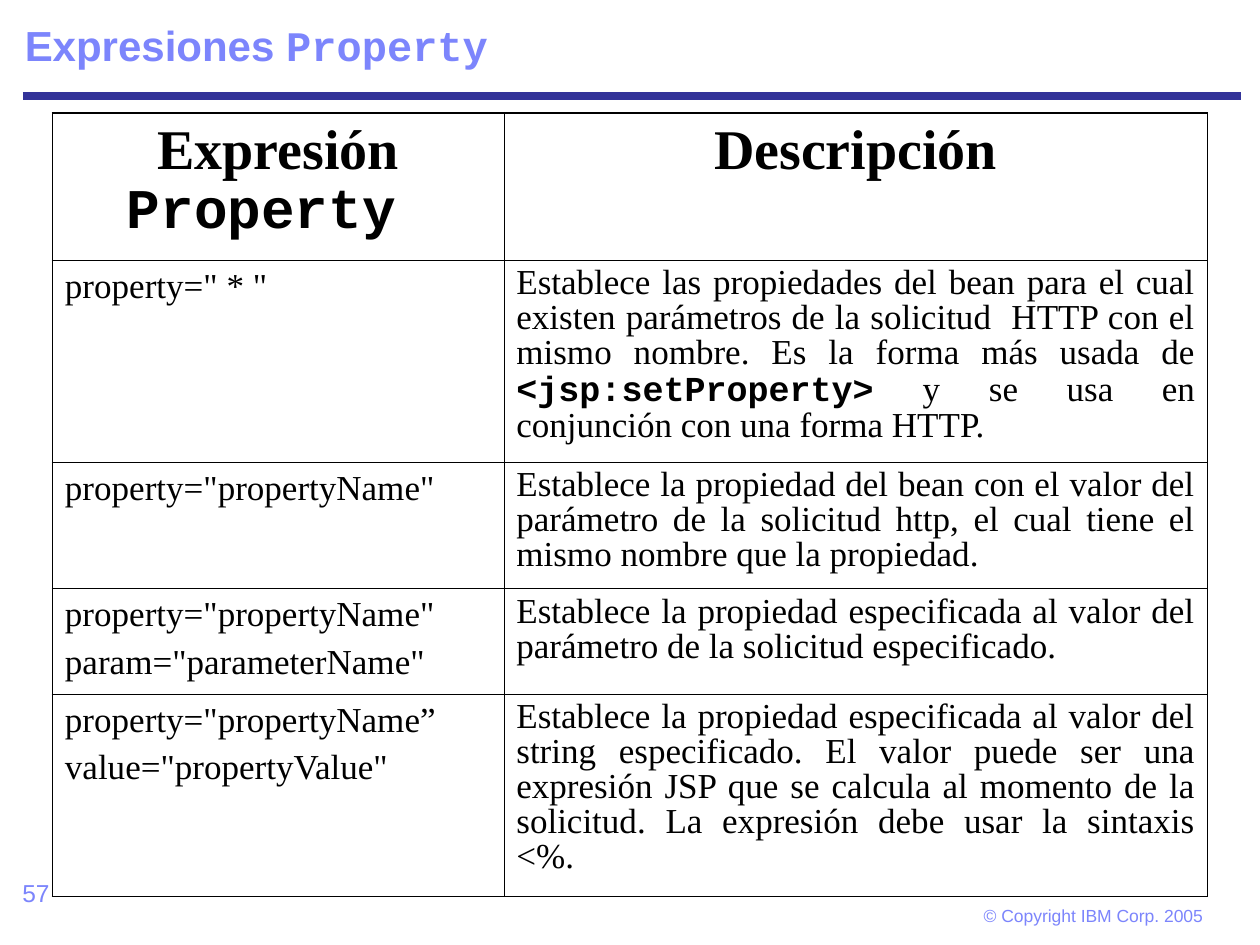
from lxml.etree import SubElement
from pptx import Presentation
from pptx.dml.color import RGBColor
from pptx.enum.shapes import MSO_CONNECTOR
from pptx.enum.text import PP_ALIGN
from pptx.oxml.ns import qn
from pptx.util import Cm, Pt

LILAC = RGBColor(0x7C, 0x85, 0xFC)
NAVY = RGBColor(0x33, 0x33, 0x99)
BLACK = RGBColor(0, 0, 0)
SANS, SERIF, MONO = "Arial", "Times New Roman", "Courier New"

TITLE = [("Expresiones ", SANS, True), ("Property", MONO, True)]
PAGE_NUMBER = [("57", SANS, False)]
COPYRIGHT = [("© Copyright IBM Corp. 2005", SANS, False)]

HEADERS = [
    [("Expresión ", SERIF, True), ("Property ", MONO, True)],
    [("Descripción", SERIF, True)],
]
EXPRESSIONS = [
    (['property=" * "'],
     [("Establece las propiedades del bean para el cual existen parámetros de la "
       "solicitud  HTTP con el mismo nombre. Es la forma más usada de ", SERIF, False),
      ("<jsp:setProperty>", MONO, True),
      (" y se usa en conjunción con una forma HTTP.", SERIF, False)]),
    (['property="propertyName"'],
     [("Establece la propiedad del bean con el valor del parámetro de la solicitud "
       "http, el cual tiene el mismo nombre que la propiedad.", SERIF, False)]),
    (['property="propertyName"', 'param="parameterName"'],
     [("Establece la propiedad especificada al valor del parámetro de la solicitud "
       "especificado.", SERIF, False)]),
    (['property="propertyName”', 'value="propertyValue"'],
     [("Establece la propiedad especificada al valor del string especificado. El "
       "valor puede ser una expresión JSP que se calcula al momento de la solicitud. "
       "La expresión debe usar la sintaxis <%.", SERIF, False)]),
]
COLUMN_WIDTHS = [9.1, 14.18]
ROW_HEIGHTS = [2.97, 4.07, 2.54, 2.13, 4.07]
OUTER, INNER = Pt(1.08), Pt(0.45)


def write(paragraph, pieces, size, color, align=PP_ALIGN.LEFT, spacing=None):
    paragraph.alignment = align
    if spacing:
        paragraph.line_spacing = spacing
    for words, font_name, bold in pieces:
        run = paragraph.add_run()
        run.text = words
        run.font.name = font_name
        run.font.size = Pt(size)
        run.font.bold = bold
        run.font.color.rgb = color


def add_label(slide, place, pieces, size, margins=(0.25, 0.13), spacing=None):
    frame = slide.shapes.add_textbox(*(Cm(length) for length in place)).text_frame
    frame.word_wrap = True
    frame.margin_left = frame.margin_right = Cm(margins[0])
    frame.margin_top = frame.margin_bottom = Cm(margins[1])
    write(frame.paragraphs[0], pieces, size, LILAC, spacing=spacing)


def set_borders(cell, outer_sides):
    properties = cell._tc.get_or_add_tcPr()
    for side, is_outer in zip("LRTB", outer_sides):
        border = SubElement(properties, qn(f"a:ln{side}"),
                            w=str(OUTER if is_outer else INNER))
        fill = SubElement(border, qn("a:solidFill"))
        SubElement(fill, qn("a:srgbClr"), val=str(BLACK))
    cell.fill.background()


def add_rule(slide):
    rule = slide.shapes.add_connector(
        MSO_CONNECTOR.STRAIGHT, Cm(0.46), Cm(1.94), Cm(25.02), Cm(1.94))
    rule.line.color.rgb = NAVY
    rule.line.width = Pt(4.5)
    SubElement(rule._element.spPr, qn("a:effectLst"))


def add_expression_table(slide):
    table = slide.shapes.add_table(
        len(ROW_HEIGHTS), len(COLUMN_WIDTHS), Cm(1.06), Cm(2.28),
        Cm(sum(COLUMN_WIDTHS)), Cm(sum(ROW_HEIGHTS))).table
    table.first_row = table.horz_banding = False
    for column, width in zip(table.columns, COLUMN_WIDTHS):
        column.width = Cm(width)
    for row, height in zip(table.rows, ROW_HEIGHTS):
        row.height = Cm(height)

    last_row, last_column = len(ROW_HEIGHTS) - 1, len(COLUMN_WIDTHS) - 1
    for r, row in enumerate(table.rows):
        for c, cell in enumerate(row.cells):
            cell.margin_left = cell.margin_right = Cm(0.25)
            cell.margin_top = cell.margin_bottom = Cm(0.13)
            set_borders(cell, (c == 0, c == last_column, r == 0, r == last_row))

    for c, header in enumerate(HEADERS):
        write(table.cell(0, c).text_frame.paragraphs[0], header, 32, BLACK,
              PP_ALIGN.CENTER)
    for r, (attributes, description) in enumerate(EXPRESSIONS, start=1):
        frame = table.cell(r, 0).text_frame
        for i, attribute in enumerate(attributes):
            paragraph = frame.add_paragraph() if i else frame.paragraphs[0]
            if i:
                paragraph.space_before = Pt(5)
            write(paragraph, [(attribute, SERIF, False)], 20, BLACK)
        write(table.cell(r, 1).text_frame.paragraphs[0], description, 20, BLACK,
              PP_ALIGN.JUSTIFY, 0.9)


def main():
    deck = Presentation()
    deck.slide_width, deck.slide_height = Cm(25.4), Cm(19.05)
    slide = deck.slides.add_slide(deck.slide_layouts[6])
    add_rule(slide)
    add_label(slide, (0.2, 17.58, 5.28, 1.27), PAGE_NUMBER, 14)
    add_label(slide, (19.45, 18.06, 5.41, 0.81), COPYRIGHT, 10, (0.38, 0.18))
    add_label(slide, (0.25, 0.36, 24.69, 1.42), TITLE, 24, spacing=0.93)
    add_expression_table(slide)
    deck.save("out.pptx")


if __name__ == "__main__":
    main()
